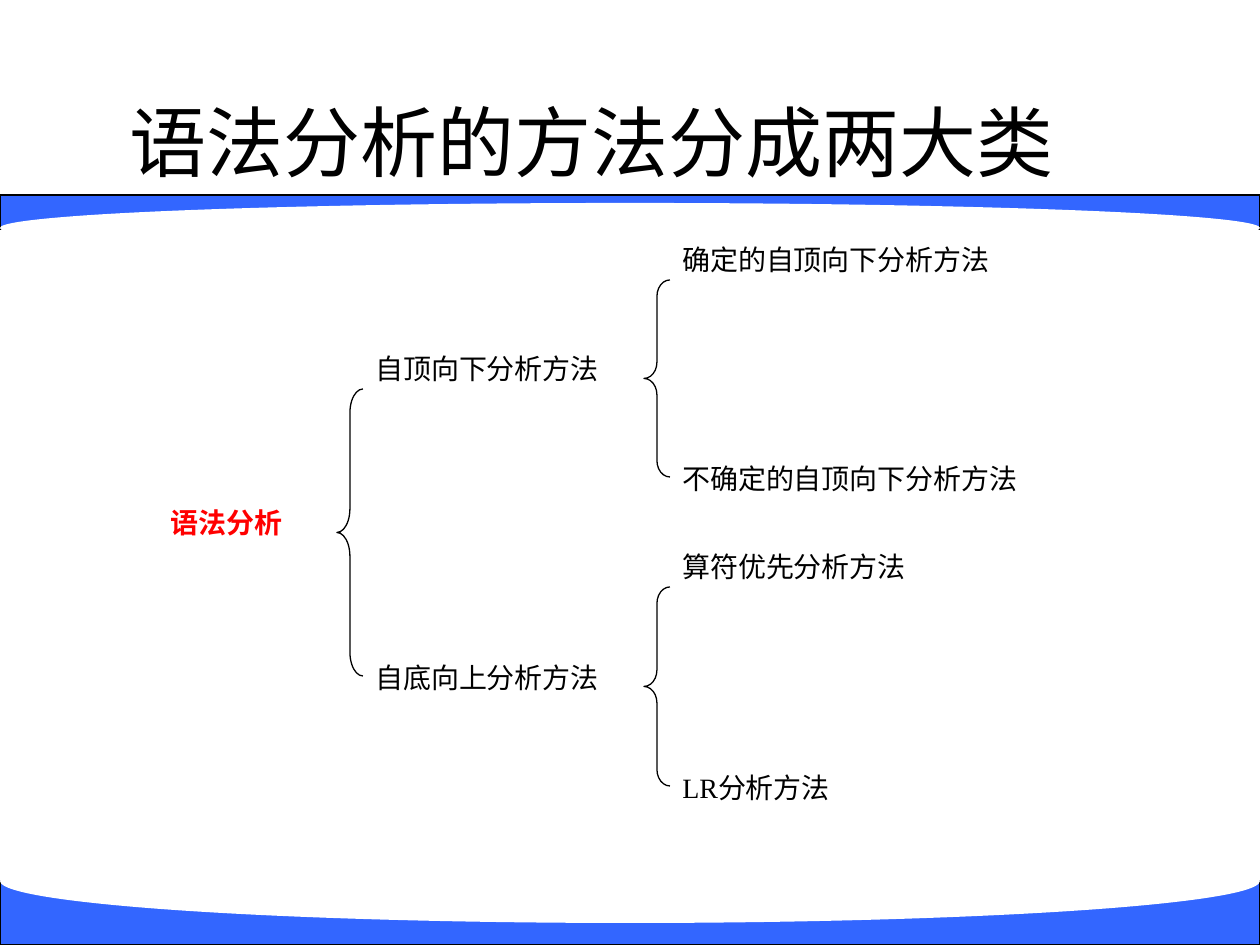
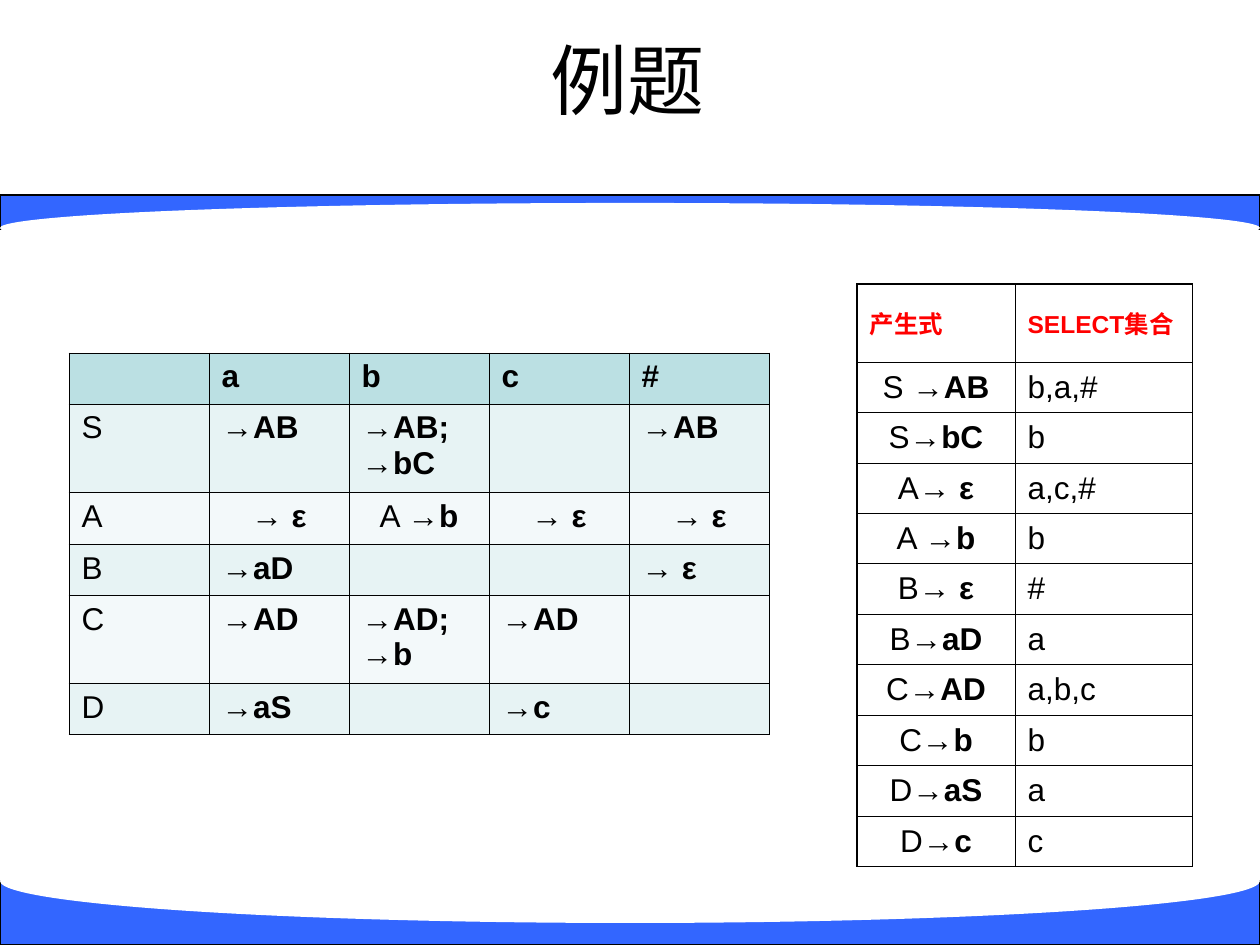
from pptx import Presentation
from pptx.dml.color import RGBColor
from pptx.enum.shapes import MSO_SHAPE as SHAPE
from pptx.enum.text import MSO_ANCHOR as ANCHOR, PP_ALIGN as ALIGN
from pptx.util import Emu, Pt
from lxml.etree import SubElement
from pptx.oxml.ns import qn

BLACK, WHITE, BLUE, RED = "000000", "FFFFFF", "3366FF", "FF0000"
HEAD, ODD, EVEN = "BBE0E3", "E7F3F4", "F3F9FA"
BODY = {"name": "Times New Roman", "size": 16}
CELL = {"name": "Arial", "size": 18}
TITLE = {"name": "Arial", "size": 44}


def px(n):
    return Emu(round(n * 914400 / 126))


def rgb(value):
    return RGBColor.from_string(value)


class Deck:
    """Holds the presentation, its shared style and the current slide."""

    def __init__(self):
        self.prs = Presentation()
        self.prs.slide_width, self.prs.slide_height = px(1260), px(945)

    def slide(self, title, box):
        self.s = self.prs.slides.add_slide(self.prs.slide_layouts[6])
        for band, cut in (((195, 34), (203, 50)), ((881, 64), (839, 84))):
            self.shape(SHAPE.RECTANGLE, (0, band[0], 1260, band[1]), BLUE, BLACK)
            self.shape(SHAPE.OVAL, (0, cut[0], 1260, cut[1]), WHITE)
        self.text(title, box, TITLE, ALIGN.CENTER, ANCHOR.MIDDLE)

    def shape(self, kind, box, fill=None, line=None):
        sp = self.s.shapes.add_shape(kind, *map(px, box))
        sp.shadow.inherit = False
        if fill:
            sp.fill.solid()
            sp.fill.fore_color.rgb = rgb(fill)
        else:
            sp.fill.background()
        if line:
            sp.line.color.rgb = rgb(line)
            sp.line.width = Pt(0.75)
        else:
            sp.line.fill.background()
        return sp

    def brace(self, x, y, h, w=26):
        sp = self.shape(SHAPE.LEFT_BRACE, (x, y, w, h), line=BLACK)
        sp.adjustments[0] = h / 12 / w

    def run(self, p, text, style):
        r = p.add_run()
        r.text = text
        style = {"color": BLACK, "bold": False, **style}
        r.font.color.rgb = rgb(style.pop("color"))
        style["size"] = Pt(style["size"])
        for key, value in style.items():
            setattr(r.font, key, value)

    def text(self, text, box, style, align=ALIGN.JUSTIFY, anchor=ANCHOR.TOP):
        tf = self.s.shapes.add_textbox(*map(px, box)).text_frame
        tf.word_wrap, tf.vertical_anchor = True, anchor
        tf.paragraphs[0].alignment = align
        self.run(tf.paragraphs[0], text, style)

    def border(self, cell, widths):
        for side, width in widths.items():
            ln = SubElement(cell._tc.get_or_add_tcPr(), qn(f"a:ln{side}"), w=str(Pt(width)))
            SubElement(SubElement(ln, qn("a:solidFill")), qn("a:srgbClr"), val=BLACK)

    def table(self, x, y, cols, heights, rows, look):
        """Fill a grid; a bar in a cell's text switches between regular and bold."""
        frame = self.s.shapes.add_table(
            len(rows), len(cols), px(x), px(y), px(sum(cols)), px(sum(heights)))
        t = frame.table
        t.first_row = t.horz_banding = False
        for col, w in zip(t.columns, cols):
            col.width = px(w)
        for row, h in zip(t.rows, heights):
            row.height = px(h)
        for i, row in enumerate(rows):
            for j, text in enumerate(row):
                cell = t.cell(i, j)
                fill, style, align, anchor, widths = look(i, j)
                self.border(cell, widths)
                if fill:
                    cell.fill.solid()
                    cell.fill.fore_color.rgb = rgb(fill)
                else:
                    cell.fill.background()
                cell.vertical_anchor = anchor
                p = cell.text_frame.paragraphs[0]
                p.alignment = align
                p.font.size = Pt(style["size"])
                for k, part in enumerate(text.split("|")):
                    if part:
                        self.run(p, part, {**style, "bold": k % 2 == 1})


PARSE_ROWS = [
    ["", "|a", "|b", "|c", "|#"],
    ["S", "→|AB", "→|AB;| →|bC", "", "→|AB"],
    ["A", "→| ε", "A →|b", "→| ε", "→| ε"],
    ["B", "→|aD", "", "", "→| ε"],
    ["C", "→|AD", "→|AD;| →|b", "→|AD", ""],
    ["D", "→|aS", "", "→|c", ""],
]
SELECT_ROWS = [
    ["|产生式", "|SELECT集合"],
    ["S →|AB", "b,a,#"],
    ["S→|bC", "b"],
    ["A→| ε", "a,c,#"],
    ["A →|b", "b"],
    ["B→| ε", "#"],
    ["B→|aD", "a"],
    ["C→|AD", "a,b,c"],
    ["C→|b", "b"],
    ["D→|aS", "a"],
    ["D→|c", "c"],
]
BRANCHES = [
    (363, [(345, "自顶向下分析方法"), (654, "自底向上分析方法")]),
    (670, [(236, "确定的自顶向下分析方法"), (455, "不确定的自顶向下分析方法")]),
    (670, [(543, "算符优先分析方法"), (764, "LR分析方法")]),
]


def parse_look(i, j):
    fill = HEAD if i == 0 else ODD if i % 2 else EVEN
    align = ALIGN.CENTER if i == 2 and j else ALIGN.LEFT
    return fill, CELL, align, ANCHOR.TOP, dict.fromkeys("LRTB", 0.45)


def select_look(i, j):
    style = CELL if i else {**CELL, "size": 14, "color": RED}
    align = ALIGN.CENTER if i and j == 0 else ALIGN.LEFT
    widths = {"L": 0.45 if j else 1.08, "R": 0.45, "T": 0.45 if i else 1.08,
              "B": 1.08 if i == len(SELECT_ROWS) - 1 else 0.45}
    return None, style, align, ANCHOR.MIDDLE, widths


def main():
    deck = Deck()
    deck.slide("语法分析的方法分成两大类 ", (34, 62, 1134, 158))
    deck.text("语法分析", (158, 499, 179, 66), {**BODY, "color": RED, "bold": True})
    for x, labels in BRANCHES:
        first, last = labels[0][0], labels[-1][0]
        deck.brace(x - 26, first + 44, last - first - 22)
        for y, label in labels:
            deck.text(label, (x, y, 436 if x > 400 else 307, 66), BODY)

    deck.slide("例题", (39, 0, 1177, 158))
    deck.table(857, 284, [158, 177], [78] + [50] * 10, SELECT_ROWS, select_look)
    deck.table(69, 353, [140] * 5, [51, 88, 52, 51, 88, 51], PARSE_ROWS, parse_look)
    deck.prs.save("out.pptx")


if __name__ == "__main__":
    main()
